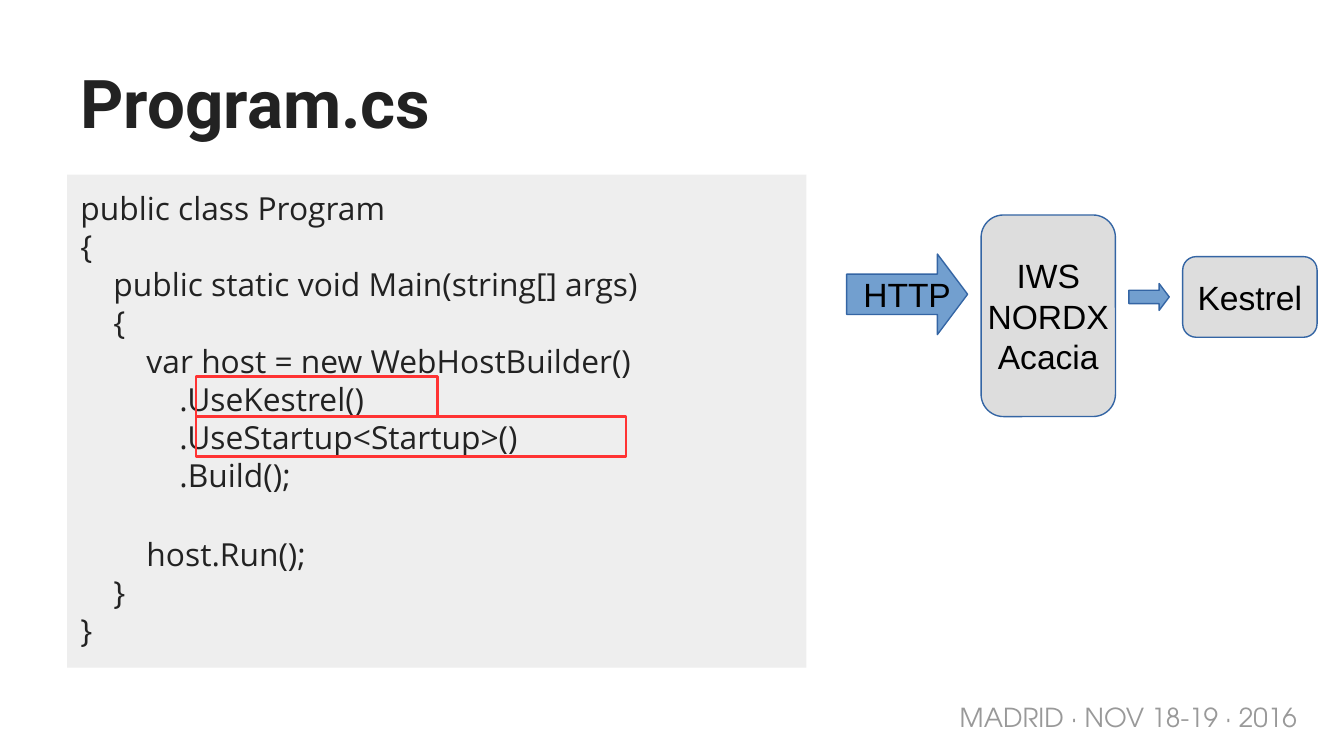
from pptx import Presentation
from pptx import util as u
from pptx.dml.color import RGBColor
from pptx.enum import shapes, text

COLORS = {"ink": "222222", "footer": "999999", "panel": "EEEEEE", "mark": "FF3333",
          "server": "DDDDDD", "arrow": "729FCF", "edge": "3465A4", "label": "000000"}

TITLE = "Program.cs"
FOOTER = "MADRID · NOV 18-19 · 2016"
CODE = [
    (0, "public class Program"),
    (0, "{"),
    (1, "public static void Main(string[] args)"),
    (1, "{"),
    (2, "var host = new WebHostBuilder()"),
    (3, ".UseKestrel()"),
    (3, ".UseStartup<Startup>()"),
    (3, ".Build();"),
    (2, "host.Run();"),
    (1, "}"),
    (0, "}"),
]
GAP_BEFORE = {"host.Run();": 21.5}
INDENT = 17.7
MARK_LEFT, MARK_TOP, MARK_HEIGHT = 105, 201.6, 21.6
MARK_WIDTHS = [129.6, 230.4]
SERVERS = [
    (["IWS", "NORDX", "Acacia"], (525.6, 115.2, 72, 108)),
    (["Kestrel"], (633.6, 137.5, 72, 43.2)),
]
ARROWS = [
    (["HTTP"], (453.6, 136.1, 64.8, 43.2)),
    ([], (604.8, 151.9, 21.6, 14.4)),
]
HEAD_START = 0.75
SHAFT_TOP, SHAFT_BOTTOM = 0.25, 0.75

CODE_FONT = {"name": "Open Sans", "size": u.Pt(17)}
TITLE_FONT = {"name": "Roboto", "size": u.Pt(36), "bold": True}
FOOTER_FONT = {"name": "TeX Gyre Adventor", "size": u.Pt(14)}
LABEL_FONT = {"name": "Arial", "size": u.Pt(18)}


def rgb(color):
    return RGBColor.from_string(COLORS[color])


def points(box):
    return [u.Pt(value) for value in box]


def paint(part, fill=None, edge=None, weight=0.75):
    part.shadow.inherit = False
    if fill:
        part.fill.solid()
        part.fill.fore_color.rgb = rgb(fill)
    else:
        part.fill.background()
    if edge:
        part.line.color.rgb = rgb(edge)
        part.line.width = u.Pt(weight)
    else:
        part.line.fill.background()


def write(part, lines, font, color, align, anchor, inset=7.2, wrap=True):
    frame = part.text_frame
    layout = {"word_wrap": wrap, "vertical_anchor": anchor,
              "margin_left": u.Pt(7.2), "margin_right": u.Pt(7.2),
              "margin_top": u.Pt(inset), "margin_bottom": u.Pt(inset)}
    for name, value in layout.items():
        setattr(frame, name, value)
    for number, line in enumerate(lines):
        paragraph = frame.add_paragraph() if number else frame.paragraphs[0]
        paragraph.alignment = align
        run = paragraph.add_run()
        run.text = line
        for name, value in font.items():
            setattr(run.font, name, value)
        run.font.color.rgb = rgb(color)
    return frame.paragraphs


def label(part, lines):
    write(part, lines, LABEL_FONT, "label", text.PP_ALIGN.CENTER,
          text.MSO_ANCHOR.MIDDLE, inset=3.6, wrap=False)


def add_arrow(slide, box):
    left, top, width, height = box
    outline = [(0, SHAFT_TOP), (HEAD_START, SHAFT_TOP), (HEAD_START, 0), (1, 0.5),
               (HEAD_START, 1), (HEAD_START, SHAFT_BOTTOM), (0, SHAFT_BOTTOM)]
    corners = [points((left + x * width, top + y * height)) for x, y in outline]
    builder = slide.shapes.build_freeform(*corners[0])
    builder.add_line_segments(corners[1:], close=True)
    return builder.convert_to_shape()


def main():
    deck = Presentation()
    deck.slide_width, deck.slide_height = u.Pt(720), u.Pt(405)
    slide = deck.slides.add_slide(deck.slide_layouts[6])
    add_shape, kinds = slide.shapes.add_shape, shapes.MSO_SHAPE

    footer = slide.shapes.add_textbox(*points((489.6, 368.6, 212.4, 19.4)))
    write(footer, [FOOTER], FOOTER_FONT, "footer", text.PP_ALIGN.RIGHT, text.MSO_ANCHOR.TOP)
    title = slide.shapes.add_textbox(*points((36, 15.8, 648, 67.7)))
    write(title, [TITLE], TITLE_FONT, "ink", text.PP_ALIGN.LEFT, text.MSO_ANCHOR.BOTTOM)

    panel = add_shape(kinds.RECTANGLE, *points((36, 93.6, 396, 264.2)))
    paint(panel, "panel")
    paragraphs = write(panel, [line for _, line in CODE], CODE_FONT, "ink",
                       text.PP_ALIGN.LEFT, text.MSO_ANCHOR.TOP)
    for paragraph, (depth, line) in zip(paragraphs, CODE):
        paragraph.space_before = u.Pt(GAP_BEFORE.get(line, 0))
        paragraph.line_spacing = u.Pt(20.5)
        paragraph._p.get_or_add_pPr().set("marL", str(u.Pt(depth * INDENT)))

    for row, width in enumerate(MARK_WIDTHS):
        mark = add_shape(kinds.RECTANGLE, *points(
            (MARK_LEFT, MARK_TOP + row * MARK_HEIGHT, width, MARK_HEIGHT)))
        paint(mark, edge="mark", weight=1.5)

    for names, box in SERVERS:
        server = add_shape(kinds.FLOWCHART_ALTERNATE_PROCESS, *points(box))
        paint(server, "server", "edge")
        label(server, names)

    for names, box in ARROWS:
        arrow = add_arrow(slide, box)
        paint(arrow, "arrow", "edge")
        label(arrow, names)

    deck.save("out.pptx")


if __name__ == "__main__":
    main()
